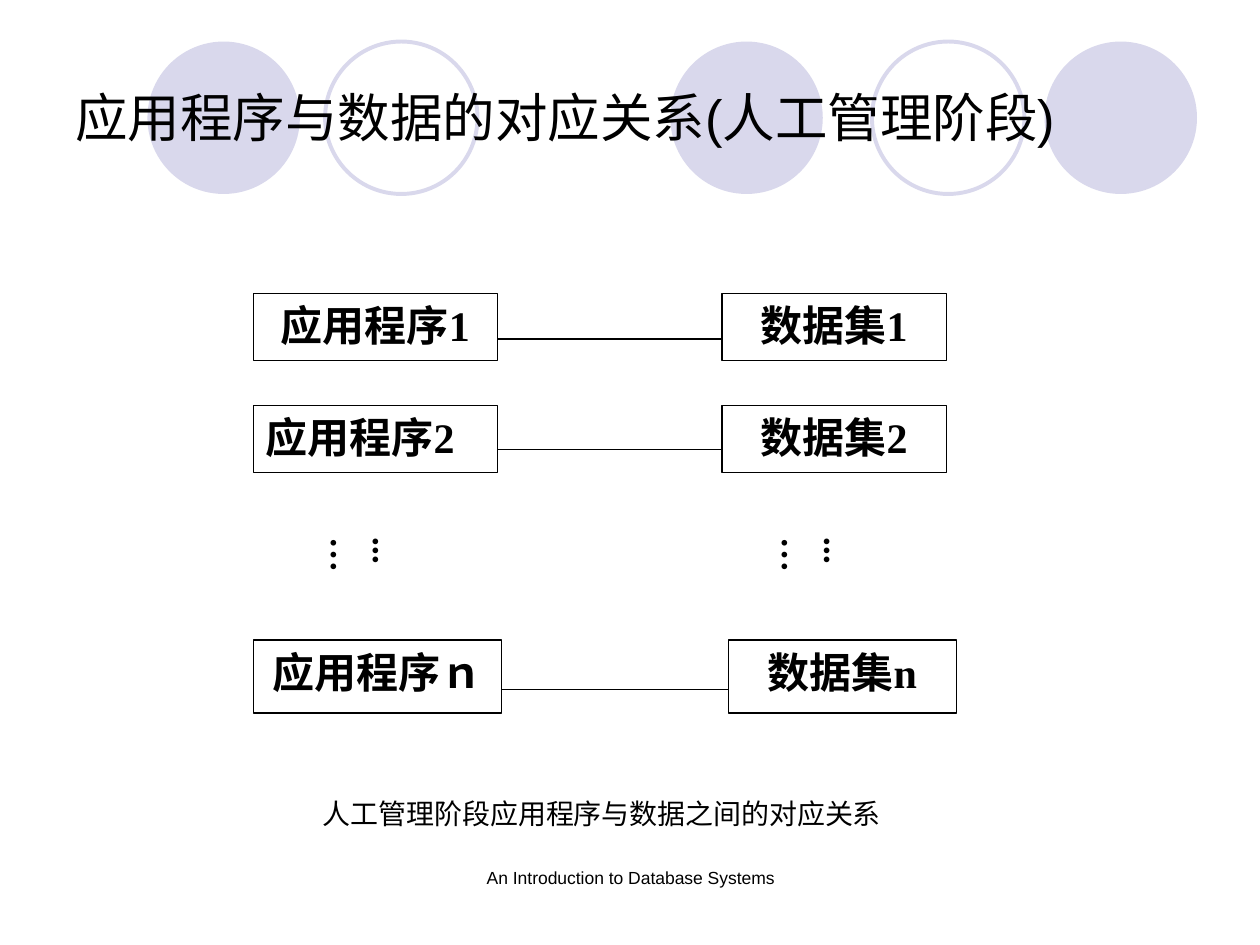
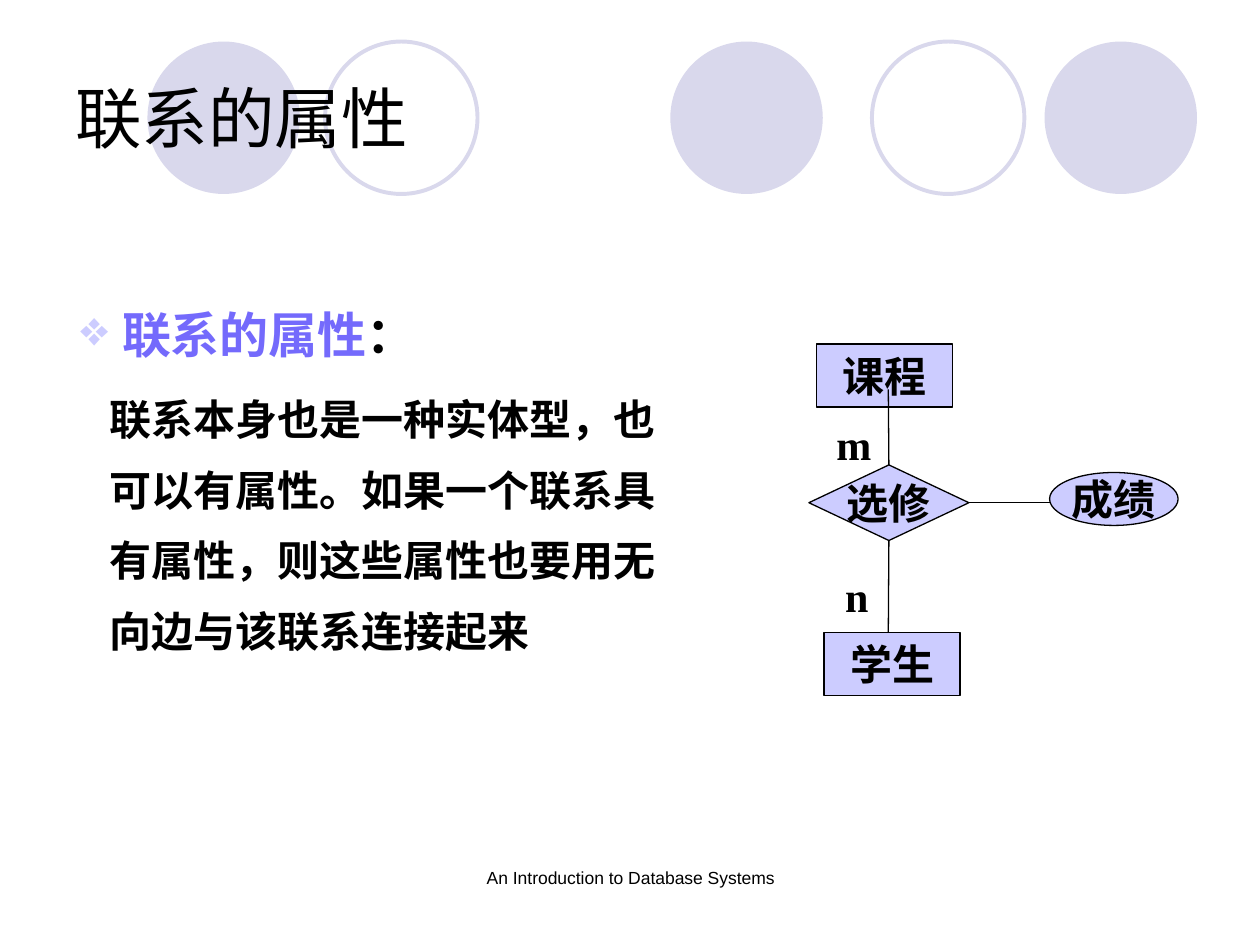
from lxml.etree import SubElement
from pptx import Presentation
from pptx.dml.color import RGBColor
from pptx.enum.shapes import MSO_CONNECTOR, MSO_SHAPE
from pptx.enum.text import MSO_ANCHOR, MSO_AUTO_SIZE, PP_ALIGN
from pptx.oxml.ns import qn
from pptx.util import Inches, Pt

BLACK = RGBColor(0x00, 0x00, 0x00)
WHITE = RGBColor(0xFF, 0xFF, 0xFF)
CIRCLE_LILAC = RGBColor(0xD9, 0xD8, 0xEC)
NODE_LILAC = RGBColor(0xCC, 0xCC, 0xFF)
TERM_VIOLET = RGBColor(0x74, 0x6A, 0xFC)
SANS = "Arial"
SERIF = "Times New Roman"

TITLES = [("应用程序与数据的对应关系(人工管理阶段)", 30), ("联系的属性", 38)]
FOOTER = "An Introduction to Database Systems"
CIRCLE_SIZE = 1.21
# left edge, filled or outlined
CIRCLES = [(5.32, True), (8.29, True), (1.17, True), (6.92, False), (2.58, False)]


def add_text_shape(slide, box, text, size=24, kind=None, fill=WHITE, font=SERIF,
                   bold=True, align=PP_ALIGN.CENTER, anchor=MSO_ANCHOR.TOP, wrap=True):
    """Add a text box, or an outlined preset shape when a kind is given."""
    left, top, width, height = map(Inches, box)
    if kind is None:
        shape = slide.shapes.add_textbox(left, top, width, height)
    else:
        shape = slide.shapes.add_shape(kind, left, top, width, height)
        shape.shadow.inherit = False
        shape.fill.solid()
        shape.fill.fore_color.rgb = fill
        shape.line.color.rgb = BLACK
        shape.line.width = Pt(0.75)
    frame = shape.text_frame
    frame.word_wrap = wrap
    frame.vertical_anchor = anchor
    paragraph = frame.paragraphs[0]
    paragraph.text = text
    paragraph.alignment = align
    paragraph.font.name = font
    paragraph.font.size = Pt(size)
    paragraph.font.bold = bold
    paragraph.font.color.rgb = BLACK
    return shape


def add_line(slide, x1, y1, x2, y2):
    line = slide.shapes.add_connector(
        MSO_CONNECTOR.STRAIGHT, Inches(x1), Inches(y1), Inches(x2), Inches(y2))
    line.line.color.rgb = BLACK
    line.line.width = Pt(0.75)
    SubElement(line._element.spPr, qn("a:effectLst"))
    return line


presentation = Presentation()
presentation.slide_width = Inches(10)
presentation.slide_height = Inches(7.5)

# Circle band, footer and title on every slide
for title, title_size in TITLES:
    slide = presentation.slides.add_slide(presentation.slide_layouts[6])
    for left, filled in CIRCLES:
        circle = slide.shapes.add_shape(
            MSO_SHAPE.OVAL, Inches(left), Inches(0.33),
            Inches(CIRCLE_SIZE), Inches(CIRCLE_SIZE))
        circle.shadow.inherit = False
        if filled:
            circle.fill.solid()
            circle.fill.fore_color.rgb = CIRCLE_LILAC
            circle.line.fill.background()
        else:
            circle.fill.background()
            circle.line.color.rgb = CIRCLE_LILAC
            circle.line.width = Pt(2.25)
    add_text_shape(slide, (3.42, 6.83, 3.17, 0.5), FOOTER, 10, font=SANS, bold=False)
    add_text_shape(slide, (0.5, 0.3, 9, 1.25), title, title_size, font=SANS,
                   bold=False, align=PP_ALIGN.LEFT, anchor=MSO_ANCHOR.MIDDLE)

mapping_slide, attribute_slide = presentation.slides

# Slide 1: each program is tied to its own data set
# mark, top, height, program width, data left, data width, line y, program alignment
PAIRS = [
    ("1", "1", 2.33, 0.53, 1.94, 5.73, 1.78, 2.69, PP_ALIGN.CENTER),
    ("2", "2", 3.22, 0.53, 1.94, 5.73, 1.78, 3.57, PP_ALIGN.JUSTIFY),
    ("ｎ", "n", 5.08, 0.58, 1.97, 5.78, 1.81, 5.47, PP_ALIGN.CENTER),
]
PROGRAM_LEFT = 2.01
for (program_mark, data_mark, top, height, program_width,
     data_left, data_width, line_y, program_align) in PAIRS:
    add_text_shape(mapping_slide, (PROGRAM_LEFT, top, program_width, height),
                   "应用程序" + program_mark, kind=MSO_SHAPE.RECTANGLE, align=program_align)
    add_text_shape(mapping_slide, (data_left, top, data_width, height),
                   "数据集" + data_mark, kind=MSO_SHAPE.RECTANGLE)
    add_line(mapping_slide, PROGRAM_LEFT + program_width, line_y, data_left, line_y)

for left in (2.76, 6.34):
    dots = add_text_shape(mapping_slide, (left, 4.17, 0.53, 0.67), "...…", 20,
                          align=PP_ALIGN.LEFT)
    frame = dots.text_frame
    frame.auto_size = MSO_AUTO_SIZE.SHAPE_TO_FIT_TEXT
    frame.margin_left = frame.margin_right = Inches(0.05)
    frame.margin_top = frame.margin_bottom = Inches(0.1)
    frame._txBody.bodyPr.set("vert", "eaVert")

add_text_shape(mapping_slide, (2.06, 6.27, 5.44, 0.4),
               "人工管理阶段应用程序与数据之间的对应关系", 16, bold=False, wrap=False)

# Slide 2: relationship diagram
for text, left, top in [("课程", 6.48, 2.73), ("学生", 6.54, 5.02)]:
    add_text_shape(attribute_slide, (left, top, 1.08, 0.5), text,
                   kind=MSO_SHAPE.RECTANGLE, fill=NODE_LILAC)
relationship = add_text_shape(
    attribute_slide, (6.42, 3.69, 1.27, 0.6), "选修", kind=MSO_SHAPE.DIAMOND,
    fill=NODE_LILAC, anchor=MSO_ANCHOR.MIDDLE, wrap=False)
add_text_shape(attribute_slide, (8.33, 3.75, 1.02, 0.42), "成绩", kind=MSO_SHAPE.OVAL,
               fill=NODE_LILAC, anchor=MSO_ANCHOR.MIDDLE, wrap=False)
for site, x1, y1, x2, y2 in [(0, 7.05, 3.69, 7.05, 3.09),
                             (2, 7.05, 4.29, 7.05, 5.02),
                             (3, 7.69, 3.99, 8.33, 3.99)]:
    add_line(attribute_slide, x1, y1, x2, y2).begin_connect(relationship, site)
for text, left, top in [("m", 6.54, 3.27), ("n", 6.61, 4.48)]:
    add_text_shape(attribute_slide, (left, top, 0.32, 0.5), text, align=PP_ALIGN.LEFT)

# Slide 2: explanation
explanation = add_text_shape(attribute_slide, (0.27, 2.18, 5.28, 3.48), "联系的属性", 28,
                             align=PP_ALIGN.LEFT)
heading = explanation.text_frame.paragraphs[0]
heading.runs[0].font.color.rgb = TERM_VIOLET
heading.add_run().text = "："
heading.space_before = Pt(7)
body = explanation.text_frame.add_paragraph()
body.text = "联系本身也是一种实体型，也可以有属性。如果一个联系具有属性，则这些属性也要用无向边与该联系连接起来"
body.space_before = Pt(6)
body.font.name = SERIF
body.font.size = Pt(24)
body.font.bold = True
body.font.color.rgb = BLACK
for paragraph, margin, indent in [(heading, 0.6, -0.33), (body, 0.5, 0)]:
    paragraph.line_spacing = 1.4
    properties = paragraph._p.get_or_add_pPr()
    properties.set("marL", str(Inches(margin)))
    properties.set("indent", str(Inches(indent)))

# The bullet elements stand before the default run properties
properties = heading._p.pPr
bullet_color = SubElement(properties, qn("a:buClr"))
SubElement(bullet_color, qn("a:srgbClr"), val=str(NODE_LILAC))
bullet = SubElement(properties, qn("a:buChar"), char="❖")
for element in (bullet_color, bullet):
    properties.find(qn("a:defRPr")).addprevious(element)

presentation.save("out.pptx")
